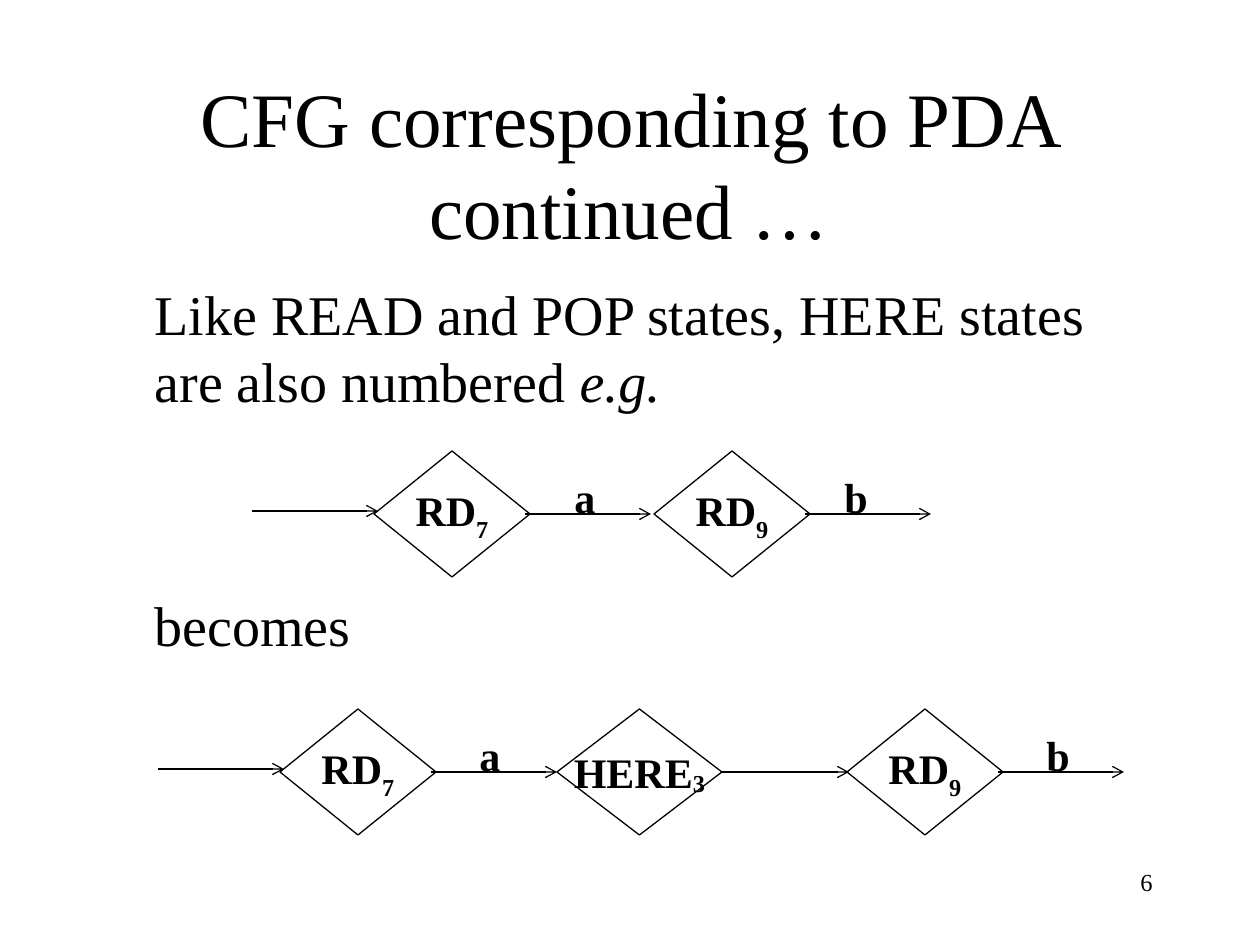
from dataclasses import dataclass

import pptx
import pptx.dml.color
import pptx.enum.shapes
import pptx.enum.text
import pptx.oxml.ns
import pptx.util
from lxml import etree

EMU_PER_PX = 914400 / 126
ALIGN = pptx.enum.text.PP_ALIGN
ANCHOR = pptx.enum.text.MSO_ANCHOR
LEFT_SITE, RIGHT_SITE = 1, 3


def px(n):
    return pptx.util.Emu(round(n * EMU_PER_PX))


def add_xml(parent, tag, **attrs):
    return etree.SubElement(parent, pptx.oxml.ns.qn(tag), attrs)


@dataclass(frozen=True)
class Theme:
    font: str = "Times New Roman"
    ink: pptx.dml.color.RGBColor = pptx.dml.color.RGBColor(0, 0, 0)
    title: int = 44
    body: int = 32
    label: int = 24
    number: int = 14
    line: float = 0.75


class Slide:
    """Holds the theme and the current slide."""

    def __init__(self, prs, theme):
        self.theme = theme
        self.s = prs.slides.add_slide(prs.slide_layouts[1])

    def run(self, p, text, size, baseline=None, **fmt):
        r = p.add_run()
        r.text = text
        fmt = {"name": self.theme.font, "size": pptx.util.Pt(size), **fmt}
        for key, value in fmt.items():
            setattr(r.font, key, value)
        r.font.color.rgb = self.theme.ink
        if baseline is not None:
            r.font._element.set("baseline", str(baseline * 1000))

    def frame(self, sp, **fmt):
        tf = sp.text_frame
        fmt = {"word_wrap": True, "auto_size": pptx.enum.text.MSO_AUTO_SIZE.NONE,
               "vertical_anchor": ANCHOR.TOP, **fmt}
        for key, value in fmt.items():
            setattr(tf, key, value)
        return tf

    def place(self, sp, *box):
        for key, value in zip(("left", "top", "width", "height"), box):
            setattr(sp, key, px(value))

    def title(self, text, *box):
        sp = self.s.shapes.title
        self.place(sp, *box)
        p = self.frame(sp, vertical_anchor=ANCHOR.MIDDLE).paragraphs[0]
        p.alignment = ALIGN.CENTER
        self.run(p, text, self.theme.title)

    def body(self, paragraphs, *box):
        """Each paragraph is (points before, [(text, italic), ...])."""
        sp = self.s.placeholders[1]
        self.place(sp, *box)
        tf = self.frame(sp)
        for i, (before, runs) in enumerate(paragraphs):
            p = tf.add_paragraph() if i else tf.paragraphs[0]
            p.space_before = pptx.util.Pt(before)
            pPr = p._p.get_or_add_pPr()
            pPr.set("marL", str(px(48)))
            pPr.set("indent", "0")
            add_xml(pPr, "a:buNone")
            for text, italic in runs:
                self.run(p, text, self.theme.body, italic=italic)

    def text(self, text, size, *box, align=ALIGN.LEFT, bold=False):
        sp = self.s.shapes.add_textbox(*map(px, box))
        p = self.frame(sp).paragraphs[0]
        p.alignment = align
        self.run(p, text, size, bold=bold)

    def state(self, name, number, x, y, width=156, baseline=-30):
        kind = pptx.enum.shapes.MSO_SHAPE.FLOWCHART_DECISION
        sp = self.s.shapes.add_shape(kind, px(x), px(y), px(width), px(126))
        sp.shadow.inherit = False
        sp.fill.background()
        self.stroke(sp)
        tf = self.frame(sp, word_wrap=False, vertical_anchor=ANCHOR.MIDDLE)
        p = tf.paragraphs[0]
        p.alignment = ALIGN.CENTER
        self.run(p, name, self.theme.label, bold=True)
        self.run(p, number, self.theme.label, baseline, bold=True)
        return sp

    def stroke(self, sp):
        sp.line.color.rgb = self.theme.ink
        sp.line.width = pptx.util.Pt(self.theme.line)

    def arrow(self, x, y, begin=None, end=None):
        kind = pptx.enum.shapes.MSO_CONNECTOR.STRAIGHT
        c = self.s.shapes.add_connector(kind, px(x), px(y), px(x + 126), px(y))
        self.stroke(c)
        add_xml(c.line._get_or_add_ln(), "a:tailEnd", type="arrow")
        add_xml(c._element.spPr, "a:effectLst")
        if begin is not None:
            c.begin_connect(begin, RIGHT_SITE)
        if end is not None:
            c.end_connect(end, LEFT_SITE)

    def letter(self, text, x, y):
        self.text(text, self.theme.label, x, y, 63, 63, bold=True)


def main():
    prs = pptx.Presentation()
    prs.slide_width, prs.slide_height = px(1260), px(945)
    theme = Theme()
    slide = Slide(prs, theme)

    slide.title("CFG corresponding to PDA continued …", 94, 84, 1071, 158)
    slide.body([
        (0, [("Like READ and POP states, HERE states are also numbered ", False),
             ("e.g.", True)]),
        (101, [("becomes", False)]),
    ], 94, 273, 1071, 567)

    # Both rows: top, RD7 left, RD9 left, letter lefts
    for top, rd7, rd9, a, b in ((451, 374, 654, 562, 832),
                                (709, 280, 847, 467, 1034)):
        middle = top + 63
        slide.state("RD", "7", rd7, top)
        slide.state("RD", "9", rd9, top)
        slide.arrow(rd7 - 122, middle - 3)
        slide.arrow(rd9 + 151, middle)
        slide.letter("a", a, top + 14)
        slide.letter("b", b, top + 14)

    slide.arrow(525, 514)
    here = slide.state("HERE", "3", 557, 709, 165, baseline=-10)
    slide.arrow(431, 772, end=here)
    slide.arrow(723, 772, begin=here)

    slide.text("6", theme.number, 903, 861, 262, 63, align=ALIGN.RIGHT)
    prs.save("out.pptx")


if __name__ == "__main__":
    main()
